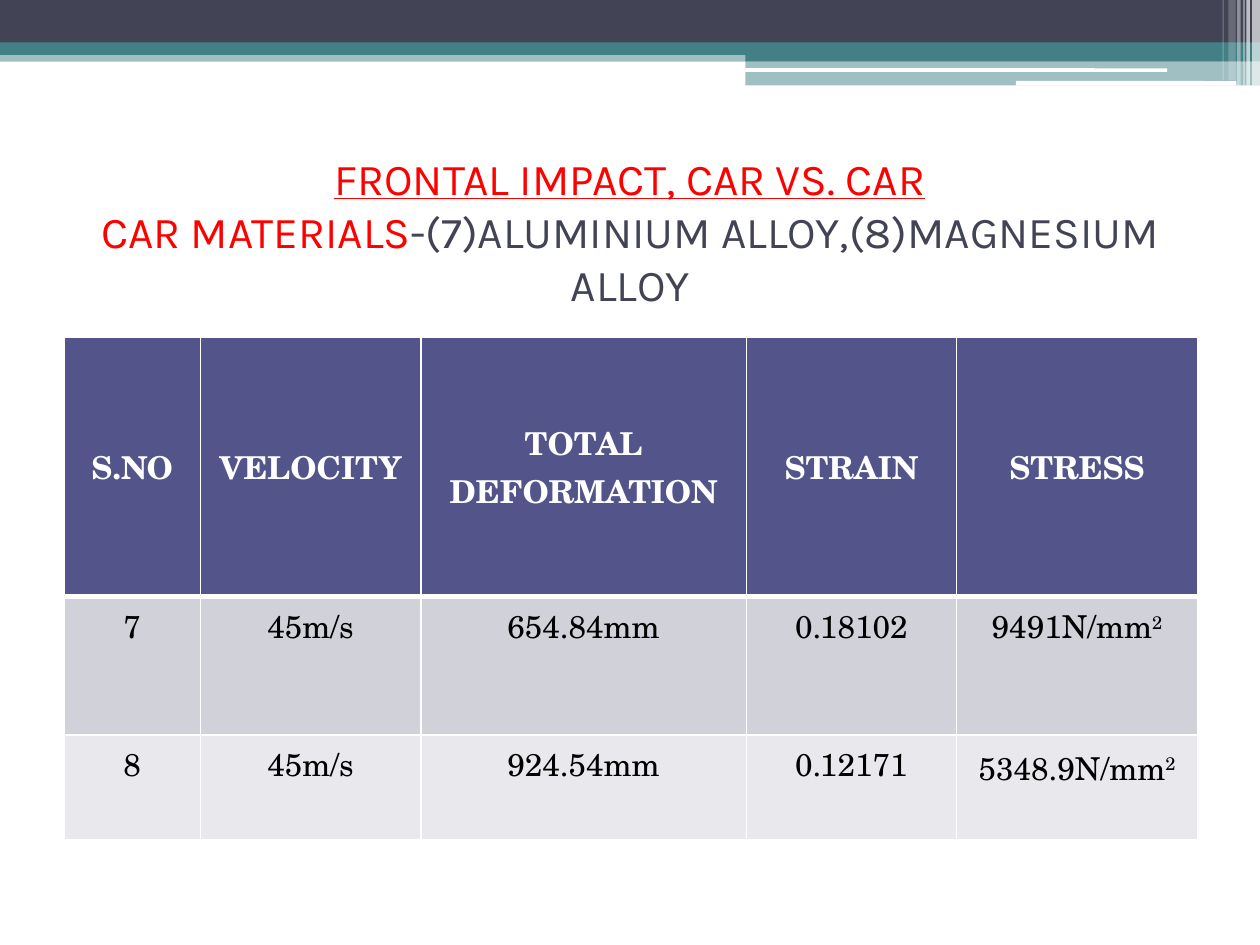
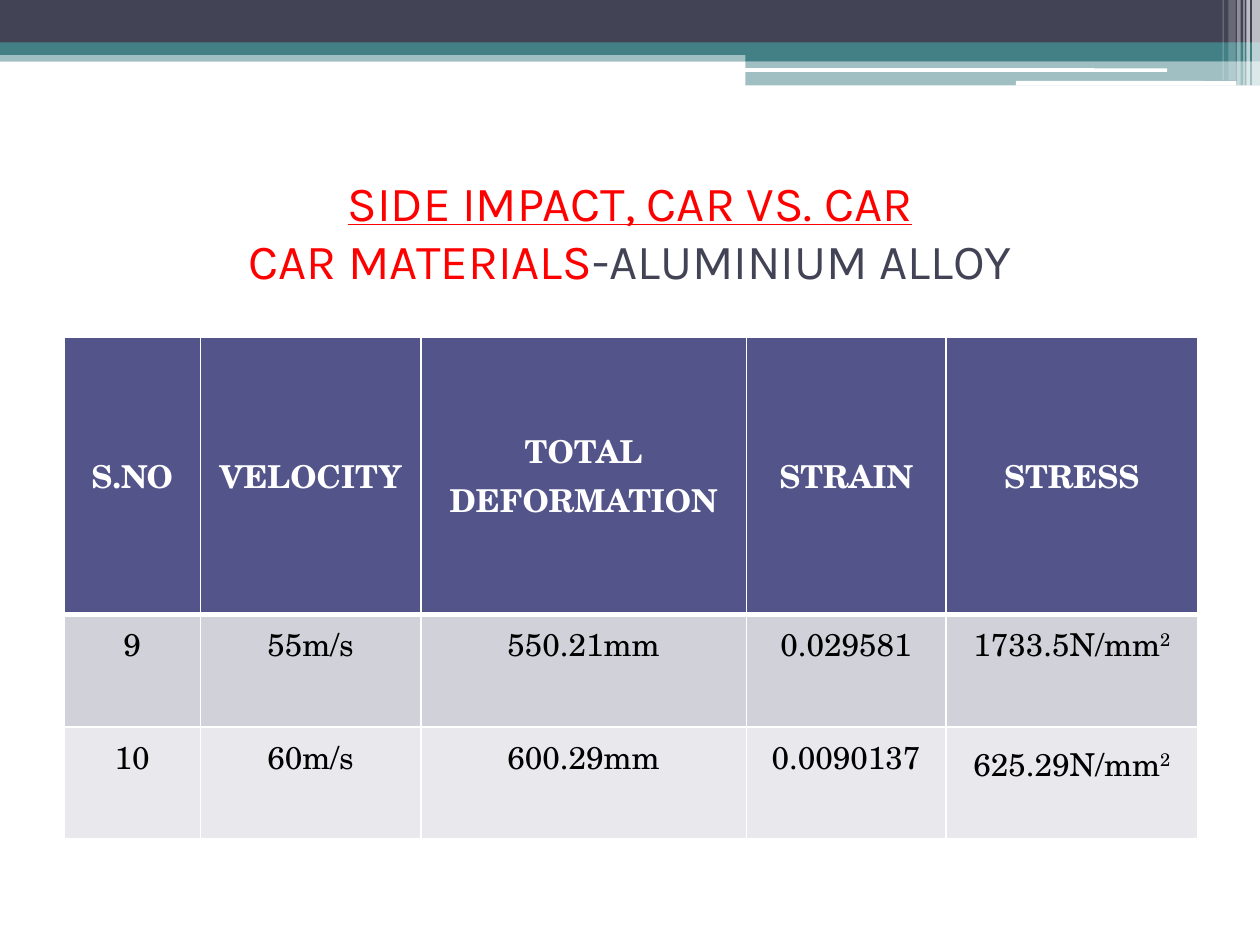
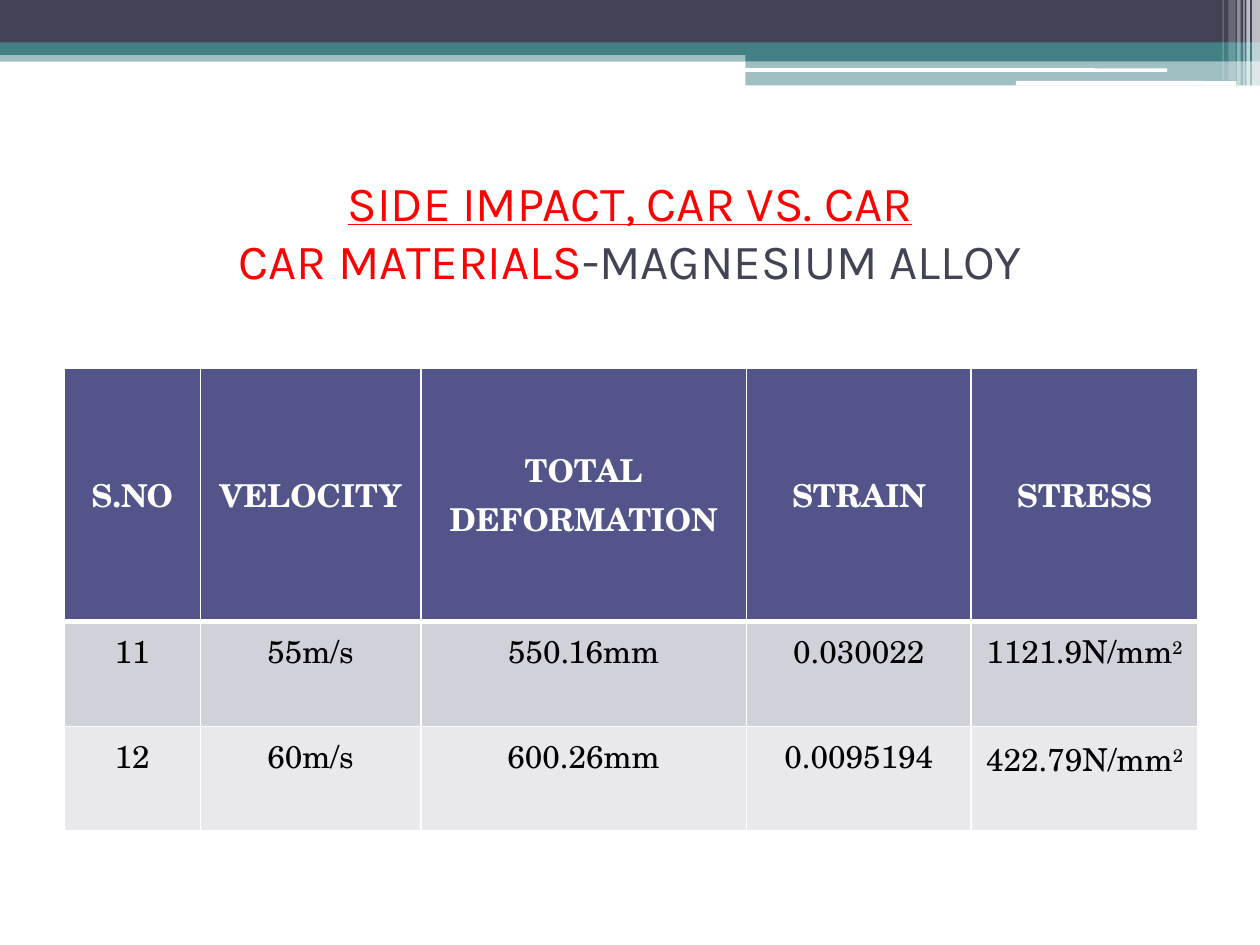
from copy import deepcopy

from lxml import etree
from pptx import Presentation
from pptx.dml.color import RGBColor
from pptx.enum.shapes import MSO_SHAPE
from pptx.enum.text import MSO_ANCHOR, MSO_AUTO_SIZE, PP_ALIGN
from pptx.oxml.ns import qn
from pptx.util import Pt

RECT, ROUND = MSO_SHAPE.RECTANGLE, MSO_SHAPE.ROUNDED_RECTANGLE
MIDDLE, TOP = MSO_ANCHOR.MIDDLE, MSO_ANCHOR.TOP
CENTER = PP_ALIGN.CENTER

COLORS = {"navy": "424456", "teal": "438086", "white": "FFFFFF", "red": "FF0000",
          "header": "53548A", "odd": "D1D1DA", "even": "E9E9ED", "black": "000000"}
TITLE_FONT, TABLE_FONT = "Karla", "TeX Gyre Schola"

# Bands: shape, left, top, width, height, colour, opacity in percent
BANDS = [
    (RECT, 0, 28.8, 720, 6.5, "teal", 50),
    (RECT, 0, 0, 720, 24.5, "navy", 100),
    (RECT, 0, 24.2, 720, 7.2, "teal", 100),
    (RECT, 426, 28, 294, 7, "teal", 100),
    (RECT, 426, 34.6, 294, 14.2, "teal", 50),
    (ROUND, 425.5, 39, 241.5, 2, "white", 100),
    (ROUND, 580.5, 46.3, 126, 2.7, "white", 100),
    (RECT, 715.5, 0, 4.5, 49, "white", 65),
    (RECT, 712.2, 0, 2, 49, "white", 65),
    (RECT, 710.5, 0, 0.7, 49, "white", 60),
    (RECT, 707, 0, 2, 49, "white", 40),
    (RECT, 702, 0, 4.2, 46, "white", 20),
    (RECT, 698.6, 0, 0.7, 46, "white", 30),
]

HEADERS = ["S.NO", "VELOCITY", "TOTAL DEFORMATION", "STRAIN", "STRESS"]
UNIT = "N/mm"
SLIDES = [
    {"title": "FRONTAL IMPACT, CAR VS. CAR", "size": 25.2,
     "material": "-(7)ALUMINIUM ALLOY,(8)MAGNESIUM ALLOY",
     "top": 192.5, "stress": 138, "heights": [148.5, 79, 60],
     "rows": [["7", "45m/s", "654.84mm", "0.18102", "9491"],
              ["8", "45m/s", "924.54mm", "0.12171", "5348.9"]]},
    {"title": "SIDE IMPACT, CAR VS. CAR", "size": 28, "material": "-ALUMINIUM ALLOY",
     "top": 192.5, "stress": 144, "heights": [158.5, 64.5, 64],
     "rows": [["9", "55m/s", "550.21mm", "0.029581", "1733.5"],
              ["10", "60m/s", "600.29mm", "0.0090137", "625.29"]]},
    {"title": "SIDE IMPACT, CAR VS. CAR", "size": 28, "material": "-MAGNESIUM ALLOY",
     "top": 210.2, "stress": 129.5, "heights": [145, 60, 59.5],
     "rows": [["11", "55m/s", "550.16mm", "0.030022", "1121.9"],
              ["12", "60m/s", "600.26mm", "0.0095194", "422.79"]]},
]


def add_run(p, text, font, size, color, bold=False, underline=False):
    r = p.add_run()
    r.text = text
    r.font.name, r.font.size = font, Pt(size)
    r.font.bold, r.font.underline = bold, underline
    r.font.color.rgb = RGBColor.from_string(COLORS[color])
    return r


def set_border(cell, side, width):
    ln = etree.SubElement(cell._tc.get_or_add_tcPr(), qn("a:" + side), w=str(Pt(width)))
    fill = etree.SubElement(ln, qn("a:solidFill"))
    etree.SubElement(fill, qn("a:srgbClr"), val=COLORS["white"])


prs = Presentation()
prs.slide_width, prs.slide_height = Pt(720), Pt(540)

# Layout with a title only
layout = prs.slide_layouts[5]
for ph in list(layout.placeholders)[1:]:
    ph.element.getparent().remove(ph.element)
slides = [prs.slides.add_slide(layout) for _ in SLIDES]

# Top bands, moved into the shared layout
bands = []
for kind, left, top, width, height, color, opacity in BANDS:
    sp = slides[0].shapes.add_shape(kind, Pt(left), Pt(top), Pt(width), Pt(height))
    sp.shadow.inherit = False
    sp.line.fill.background()
    sp.fill.solid()
    sp.fill.fore_color.rgb = RGBColor.from_string(COLORS[color])
    if opacity < 100:
        clr = sp.element.spPr.find(qn("a:solidFill"))[0]
        etree.SubElement(clr, qn("a:alpha"), val=str(opacity * 1000))
    bands.append(sp)
for sp in bands:
    layout.shapes.element.append(sp.element)

for s, data in zip(slides, SLIDES):
    # Title
    sp = s.shapes.title
    sp.left, sp.top, sp.width, sp.height = Pt(36), Pt(90), Pt(648), Pt(84)
    tf = sp.text_frame
    tf.auto_size = MSO_AUTO_SIZE.NONE
    tf.vertical_anchor = MIDDLE
    p = tf.paragraphs[0]
    p.alignment = CENTER
    r = add_run(p, data["title"], TITLE_FONT, data["size"], "red", underline=True)
    p.add_line_break()
    p._p[-1].append(deepcopy(r._r.rPr))
    add_run(p, "CAR MATERIALS", TITLE_FONT, data["size"], "red")
    add_run(p, data["material"], TITLE_FONT, data["size"], "navy")

    # Results table
    rows = [HEADERS] + data["rows"]
    table = s.shapes.add_table(len(rows), len(HEADERS), Pt(36.5), Pt(data["top"]),
                               Pt(648), Pt(sum(data["heights"]))).table
    widths = [78, 126, 186, 258 - data["stress"], data["stress"]]
    for column, width in zip(table.columns, widths):
        column.width = Pt(width)
    for i, values in enumerate(rows):
        table.rows[i].height = Pt(data["heights"][i])
        for j, value in enumerate(values):
            cell = table.cell(i, j)
            is_header, is_stress = i == 0, i > 0 and j == 4
            set_border(cell, "lnL", 1)
            set_border(cell, "lnR", 1)
            set_border(cell, "lnT", 3 if i == 1 else 1)
            set_border(cell, "lnB", 3 if is_header else 1)
            cell.fill.solid()
            cell.fill.fore_color.rgb = RGBColor.from_string(
                COLORS[["header", "odd", "even"][i]])
            last_stress = is_stress and i == 2
            cell.vertical_anchor = MIDDLE if is_header or last_stress else TOP
            if last_stress:
                cell.margin_bottom = Pt(26)
            p = cell.text_frame.paragraphs[0]
            p.alignment = CENTER
            add_run(p, value + UNIT if is_stress else value, TABLE_FONT, 18,
                    "white" if is_header else "black", bold=is_header)
            if is_stress:
                r = add_run(p, "2", TABLE_FONT, 18, "black")
                r._r.rPr.set("baseline", "30000")

prs.save("out.pptx")
